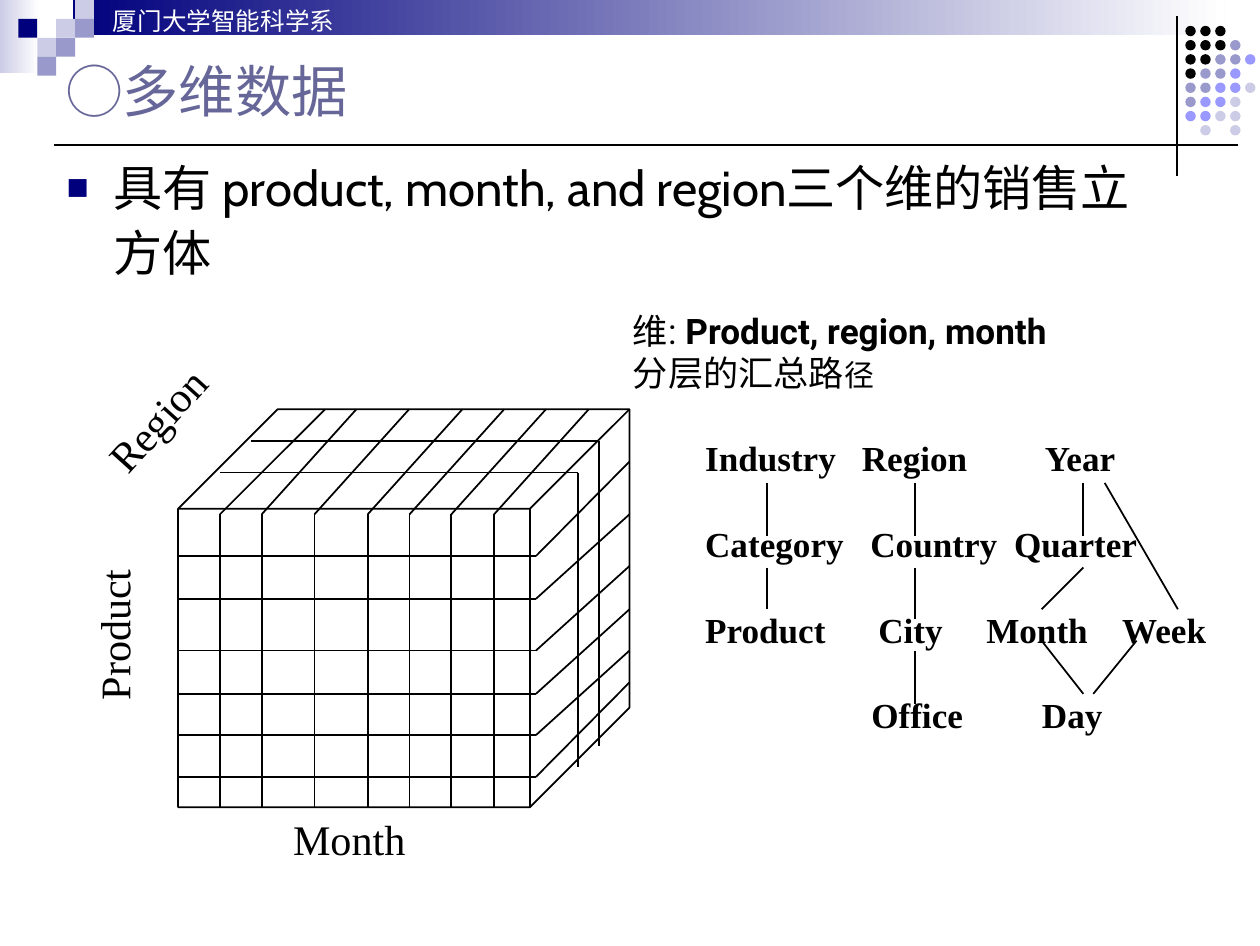
from lxml.etree import SubElement
from pptx import Presentation
from pptx.dml.color import RGBColor
from pptx.enum.shapes import MSO_CONNECTOR as Connector, MSO_SHAPE as Shape
from pptx.enum.text import MSO_ANCHOR as Anchor, PP_ALIGN as Align
from pptx.oxml.ns import qn
from pptx.util import Cm, Pt

COLORS = {
    "black": "000000", "white": "FFFFFF", "navy": "00007D", "title": "666699",
    "mauve": "9999CC", "violet": "9999FF", "lilac": "CCCCE6",
}
PATTERN_COLORS = {"K": "black", "N": "navy", "M": "mauve", "V": "violet", "L": "lilac"}
SERIF = "Times New Roman"

SQUARES = ["...L", "N.LM", ".LM.", ".M.."]
DOTS = ["KKK..", "KKKM.", "KKMMV", "KMMV.", "MMVVL", "MVVL.", "VVLL.", ".L.L."]

COLUMNS = [0.84, 1.68, 2.74, 3.81, 4.65, 5.49, 6.35]
ROWS = [2.95, 3.81, 4.85, 5.72, 6.55, 7.39]
# Left end, right end, height and lower end of each inner region layer
LAYERS = [(1.47, 8.46, 0.64, 6.76), (0.84, 8.03, 1.27, 7.19)]

# Text and tab stops of each level
LEVELS = [
    ("Industry\tRegion\tYear", [3.15, 6.83]),
    ("Category\tCountry\tQuarter", [3.32, 6.21]),
    ("Product\tCity\tMonth\tWeek", [3.48, 5.65, 8.38]),
    ("\tOffice\tDay", [3.34, 6.77]),
]
LINKS = [
    (1.5, 1.07, 1.5, 2.13), (4.47, 1.07, 4.47, 2.13), (7.85, 1.07, 7.85, 2.13),
    (1.5, 2.77, 1.5, 3.61), (4.47, 2.77, 4.47, 3.81), (4.47, 4.45, 4.47, 5.51),
    (7.85, 2.77, 7.01, 3.61), (8.28, 1.07, 9.75, 3.61),
    (7.01, 4.24, 7.85, 5.31), (8.92, 4.24, 8.05, 5.31),
]


def rgb(name):
    return RGBColor.from_string(COLORS[name])


def add_line(slide, x1, y1, x2, y2, width=1):
    line = slide.shapes.add_connector(Connector.STRAIGHT, Cm(x1), Cm(y1), Cm(x2), Cm(y2))
    line.line.color.rgb = rgb("black")
    line.line.width = Pt(width)
    SubElement(line._element.spPr, qn("a:effectLst"))


def add_figure(slide, kind, box, fill=None, fade_to=None):
    """Add a preset shape with a plain fill, a fade to the right, or an outline only."""
    shape = slide.shapes.add_shape(kind, *map(Cm, box))
    shape.shadow.inherit = False
    if fill is None:
        shape.fill.background()
        shape.line.color.rgb = rgb("black")
        shape.line.width = Pt(1)
        return shape
    shape.line.fill.background()
    if fade_to:
        shape.fill.gradient()
        shape.fill.gradient_angle = 0
        for stop, color in zip(shape.fill.gradient_stops, (fill, fade_to)):
            stop.color.rgb = rgb(color)
    else:
        shape.fill.solid()
        shape.fill.fore_color.rgb = rgb(fill)
    return shape


def add_bullet(paragraph, indent):
    properties = paragraph._p.get_or_add_pPr()
    properties.set("marL", str(Cm(indent)))
    properties.set("indent", str(-Cm(indent)))
    color = SubElement(properties, qn("a:buClr"))
    SubElement(color, qn("a:srgbClr"), val=COLORS["navy"])
    SubElement(properties, qn("a:buSzPct"), val="75000")
    SubElement(properties, qn("a:buFont"), typeface="Arial")
    SubElement(properties, qn("a:buChar"), char="■")


def add_tabs(paragraph, stops):
    tabs = SubElement(paragraph._p.get_or_add_pPr(), qn("a:tabLst"))
    for stop in stops:
        SubElement(tabs, qn("a:tab"), pos=str(Cm(stop)), algn="l")


def write(shape, *lines, size=20, font=SERIF, color="black", bold=False, wrap=True,
          anchor=Anchor.TOP, bullet=None, tabs=(), spacing=None, before=0):
    """Fill a shape; a line is a string or a list of (text, format overrides) runs."""
    frame = shape.text_frame
    frame.word_wrap = wrap
    frame.vertical_anchor = anchor
    for index, line in enumerate(lines):
        paragraph = frame.add_paragraph() if index else frame.paragraphs[0]
        paragraph.alignment = Align.LEFT
        if spacing:
            paragraph.line_spacing = spacing
        if index and before:
            paragraph.space_before = Pt(before)
        if bullet:
            add_bullet(paragraph, bullet)
        if tabs:
            add_tabs(paragraph, tabs[index])
        for text, changes in [(line, {})] if isinstance(line, str) else line:
            run = paragraph.add_run()
            run.text = text
            run.font.size = Pt(changes.get("size", size))
            run.font.name = changes.get("font", font)
            run.font.bold = changes.get("bold", bold)
            run.font.color.rgb = rgb(color)


def add_text(slide, box, *lines, rotation=0, **style):
    shape = slide.shapes.add_textbox(*map(Cm, box))
    shape.rotation = rotation
    write(shape, *lines, **style)


def add_pattern(slide, kind, pattern, origin, pitch, size):
    """Draw one small shape for each letter of the pattern."""
    for row, letters in enumerate(pattern):
        for column, letter in enumerate(letters):
            if letter in PATTERN_COLORS:
                box = (origin[0] + column * pitch[0], origin[1] + row * pitch[1], size, size)
                add_figure(slide, kind, box, PATTERN_COLORS[letter])


def add_header(slide, left, top, width, height):
    add_figure(slide, Shape.RECTANGLE, (left, top, 0.79, 1.47), "lilac", "white")
    bar = add_figure(slide, Shape.RECTANGLE, (left + 1.47, top, 23.14, 0.71), "navy", "white")
    bar.text_frame.margin_left = Cm(0.8)
    write(bar, "厦门大学智能科学系", size=14, color="white")
    add_pattern(slide, Shape.RECTANGLE, SQUARES, (left + 0.37, top), (0.38, 0.38), 0.38)
    add_line(slide, left + 23.65, top + 0.33, left + 23.65, top + 3.53, 0.75)
    add_pattern(slide, Shape.OVAL, DOTS, (left + 23.82, top + 0.52), (0.3, 0.285), 0.21)
    add_line(slide, left + width - 0.45, top + height, left + 1.09, top + height)
    add_text(slide, (left + 1.09, top + 0.91, 22.15, 1.8), "◯多维数据",
             size=32, font="Roboto", color="title", anchor=Anchor.MIDDLE)


def add_cube(slide, left, top, width, height):
    """Draw the sales cube with its grid and axis names."""
    cube = add_figure(slide, Shape.CUBE, (left, top, width, height))
    cube.adjustments[0] = 0.25
    front_right, front_top = left + 7.19, top + 2.11
    for row in ROWS:
        y = top + row
        rise = 1.9 if row in (ROWS[0], ROWS[-1]) else 1.7
        add_line(slide, left, y, front_right, y)
        add_line(slide, front_right, y, left + width, y - rise)
    for column in COLUMNS:
        x = left + column
        shift = 2.11 if column == COLUMNS[0] else 1.9
        add_line(slide, x, front_top, x, top + height)
        add_line(slide, x, front_top, x + shift, top)
    for start, end, level, bottom in LAYERS:
        add_line(slide, left + start, top + level, left + end, top + level)
        add_line(slide, left + end, top + level, left + end, top + bottom)
    axes = [("Product", -2.87, 3.89, 3.15, 270), ("Region", -1.9, -0.43, 2.95, 312),
            ("Month", 2.06, 8.0, 2.77, 0)]
    for name, x, y, label_width, rotation in axes:
        add_text(slide, (left + x, top + y, label_width, 1.27), name,
                 rotation=rotation, size=24, wrap=False)


def add_hierarchy(slide, left, top, width, height):
    """Write the levels of each dimension and link them."""
    names, tabs = zip(*LEVELS)
    add_text(slide, (left, top, width, height), *names, bold=True, tabs=tabs, before=25)
    for x1, y1, x2, y2 in LINKS:
        add_line(slide, left + x1, top + y1, left + x2, top + y2)


def main():
    presentation = Presentation()
    presentation.slide_width, presentation.slide_height = Cm(25.32), Cm(19.02)
    slide = presentation.slides.add_slide(presentation.slide_layouts[6])
    add_header(slide, 0, 0, 25.32, 2.92)
    add_text(slide, (1.09, 2.92, 22.53, 15.57),
             "具有 product, month, and region三个维的销售立方体",
             size=28, font="Cabin", bullet=0.94, spacing=1.1)
    add_cube(slide, 3.58, 8.23, 9.07, 8)
    add_text(slide, (12.47, 6.1, 12.22, 1.96),
             [("维: ", {}), ("Product, region, month", {"bold": True})],
             [("分层的汇总路", {}), ("径", {"size": 17, "font": "Noto Sans CJK SC"})],
             font="Roboto")
    add_hierarchy(slide, 13.92, 8.64, 10.67, 6.2)
    presentation.save("out.pptx")


if __name__ == "__main__":
    main()
